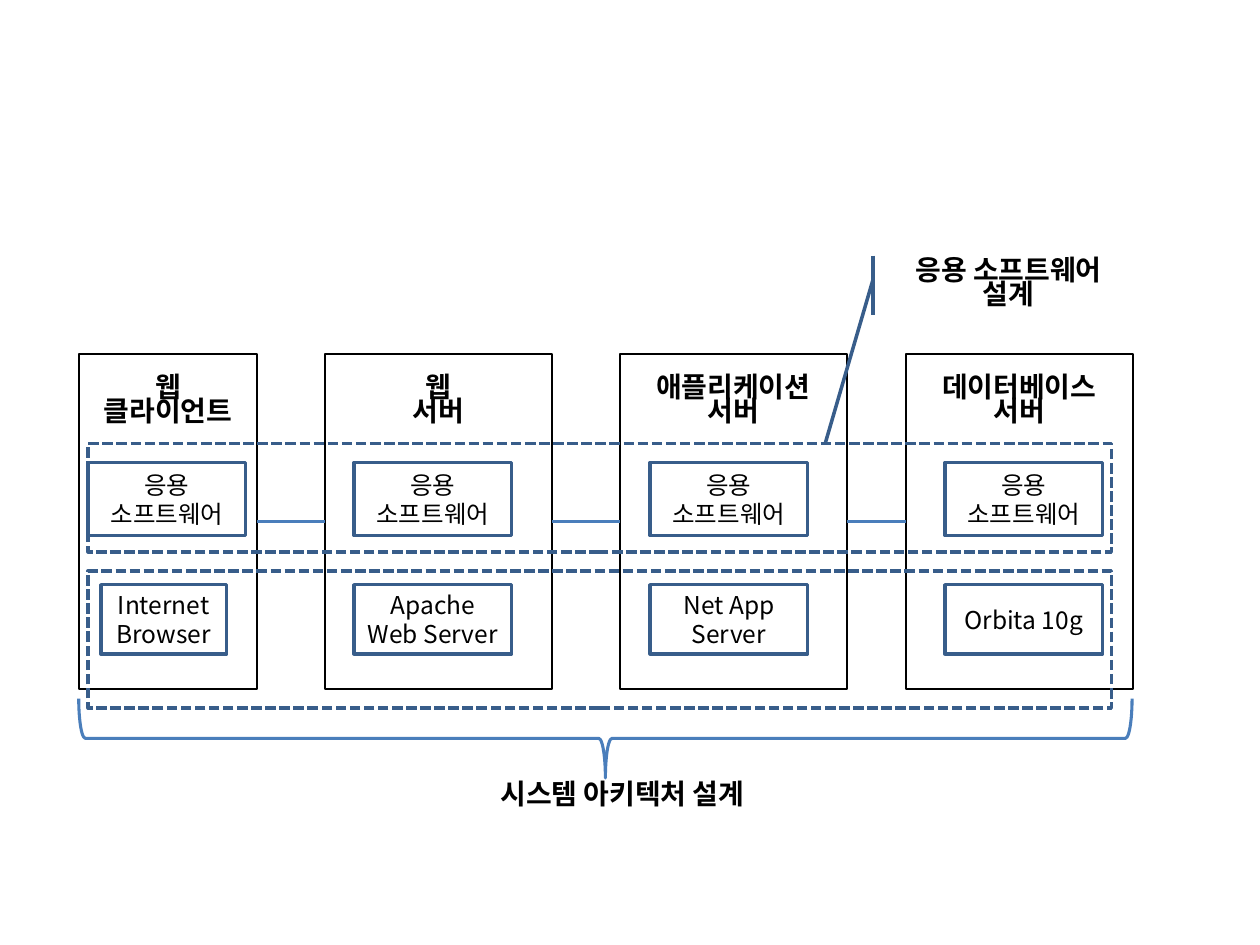
"""Build a slide that maps software onto a four-tier web system."""
from dataclasses import dataclass
from itertools import pairwise

from lxml import etree
from pptx import Presentation
from pptx.dml.color import RGBColor
from pptx.enum.dml import MSO_LINE
from pptx.enum.shapes import MSO_CONNECTOR, MSO_SHAPE
from pptx.enum.text import MSO_ANCHOR, MSO_AUTO_SIZE, PP_ALIGN
from pptx.oxml.ns import qn
from pptx.shapes.autoshape import Shape
from pptx.slide import Slide
from pptx.util import Inches, Pt

RECT, BRACE = MSO_SHAPE.RECTANGLE, MSO_SHAPE.LEFT_BRACE
CALLOUT = MSO_SHAPE.LINE_CALLOUT_1_ACCENT_BAR
STRAIGHT = MSO_CONNECTOR.STRAIGHT
DASH = MSO_LINE.SQUARE_DOT
TOP, MIDDLE = MSO_ANCHOR.TOP, MSO_ANCHOR.MIDDLE
CENTER = PP_ALIGN.CENTER
NO_FIT = MSO_AUTO_SIZE.NONE


@dataclass(frozen=True)
class Theme:
    font: str = "Noto Sans CJK KR"
    ink: RGBColor = RGBColor(0x00, 0x00, 0x00)
    edge: RGBColor = RGBColor(0x38, 0x5D, 0x8A)
    link: RGBColor = RGBColor(0x4A, 0x7E, 0xBB)
    head: int = 16
    body: int = 14
    tight: float = 0.7


@dataclass(frozen=True)
class Box:
    left: float
    top: float
    width: float
    height: float

    @property
    def right(self) -> float:
        return self.left + self.width

    def place(self) -> tuple:
        return tuple(map(Inches, (self.left, self.top, self.width, self.height)))


@dataclass(frozen=True)
class Tier:
    name: tuple[str, ...]
    left: float
    width: float
    app: float
    tool: str
    inset: float = 0
    slim: float = 1.25

    @property
    def frame(self) -> Box:
        return Box(self.left, 2.81, self.width, 2.66)


THEME = Theme()
APP = ("응용", "소프트웨어")
TIERS = (
    Tier(("웹", "클라이언트"), 0.63, 1.41, 0.7, "Internet Browser", 0.1, 1),
    Tier(("웹", "서버"), 2.58, 1.8, 2.81, "Apache Web Server"),
    Tier(("애플리케이션", "서버"), 4.92, 1.8, 5.16, "Net App Server"),
    Tier(("데이터베이스", "서버"), 7.19, 1.8, 7.5, "Orbita 10g"),
)
BANDS = (Box(0.7, 4.53, 8.12, 1.09), Box(0.7, 3.52, 8.12, 0.86))


def write(shape: Shape, lines: tuple[str, ...], bold: bool = False,
          anchor: MSO_ANCHOR = MIDDLE, top: float = 0.05) -> None:
    """Fill a shape with centred lines, tight and large when bold."""
    frame = shape.text_frame
    frame.auto_size = NO_FIT
    frame.word_wrap = True
    frame.vertical_anchor = anchor
    frame.margin_left = frame.margin_right = Inches(0.1)
    frame.margin_top, frame.margin_bottom = Inches(top), Inches(0.05)
    for index, line in enumerate(lines):
        para = frame.add_paragraph() if index else frame.paragraphs[0]
        para.alignment = CENTER
        if bold:
            para.line_spacing = THEME.tight
        run = para.add_run()
        run.text = line
        font = run.font
        font.size = Pt(THEME.head if bold else THEME.body)
        font.bold = bold
        font.color.rgb = THEME.ink
        font.name = THEME.font
        east = etree.SubElement(run._r.get_or_add_rPr(), qn("a:ea"))
        east.set("typeface", THEME.font)


def draw(slide: Slide, kind: MSO_SHAPE, box: Box, color: RGBColor,
         weight: float) -> Shape:
    """Add an unfilled outline shape."""
    shape = slide.shapes.add_shape(kind, *box.place())
    shape.shadow.inherit = False
    shape.fill.background()
    shape.line.color.rgb = color
    shape.line.width = Pt(weight)
    return shape


def join(slide: Slide, start: float, end: float, level: float) -> None:
    """Link two tiers with a level line."""
    line = slide.shapes.add_connector(
        STRAIGHT, Inches(start), Inches(level), Inches(end), Inches(level))
    line.line.color.rgb = THEME.link
    line.line.width = Pt(1.5)
    etree.SubElement(line._element.spPr, qn("a:effectLst"))


def stack(slide: Slide, tier: Tier) -> None:
    """Draw one tier with its software and product boxes."""
    frame = draw(slide, RECT, tier.frame, THEME.ink, 1.25)
    write(frame, tier.name, True, TOP, 0.2)
    parts = (
        (Box(tier.app + tier.inset, 4.64, tier.slim, 0.55), (tier.tool,)),
        (Box(tier.app, 3.67, 1.25, 0.58), APP),
    )
    for box, lines in parts:
        write(draw(slide, RECT, box, THEME.edge, 2), lines)


def label(slide: Slide) -> None:
    """Add the brace, its caption and the software callout."""
    brace = draw(slide, BRACE, Box(4.49, 1.68, 0.63, 8.36), THEME.link, 1.75)
    brace.rotation = 270
    note = slide.shapes.add_textbox(*Box(3.86, 6.19, 2.16, 0.29).place())
    write(note, ("시스템 아키텍처 설계",), True, TOP)
    note.text_frame.word_wrap = False
    call = draw(slide, CALLOUT, Box(6.95, 2.03, 2.11, 0.47), THEME.edge, 2)
    for index, value in enumerate((0.4, -0.01, 3.17, -0.19)):
        call.adjustments[index] = value
    write(call, ("응용 소프트웨어 설계",), True)


def main() -> None:
    """Build and save the slide."""
    deck = Presentation()
    deck.slide_width, deck.slide_height = Inches(10), Inches(7.5)
    slide = deck.slides.add_slide(deck.slide_layouts[6])
    for tier in TIERS:
        stack(slide, tier)
    for near, far in pairwise(TIERS):
        join(slide, near.frame.right, far.left, 4.14)
    for band in BANDS:
        draw(slide, RECT, band, THEME.edge, 2).line.dash_style = DASH
    label(slide)
    deck.save("out.pptx")


if __name__ == "__main__":
    main()
